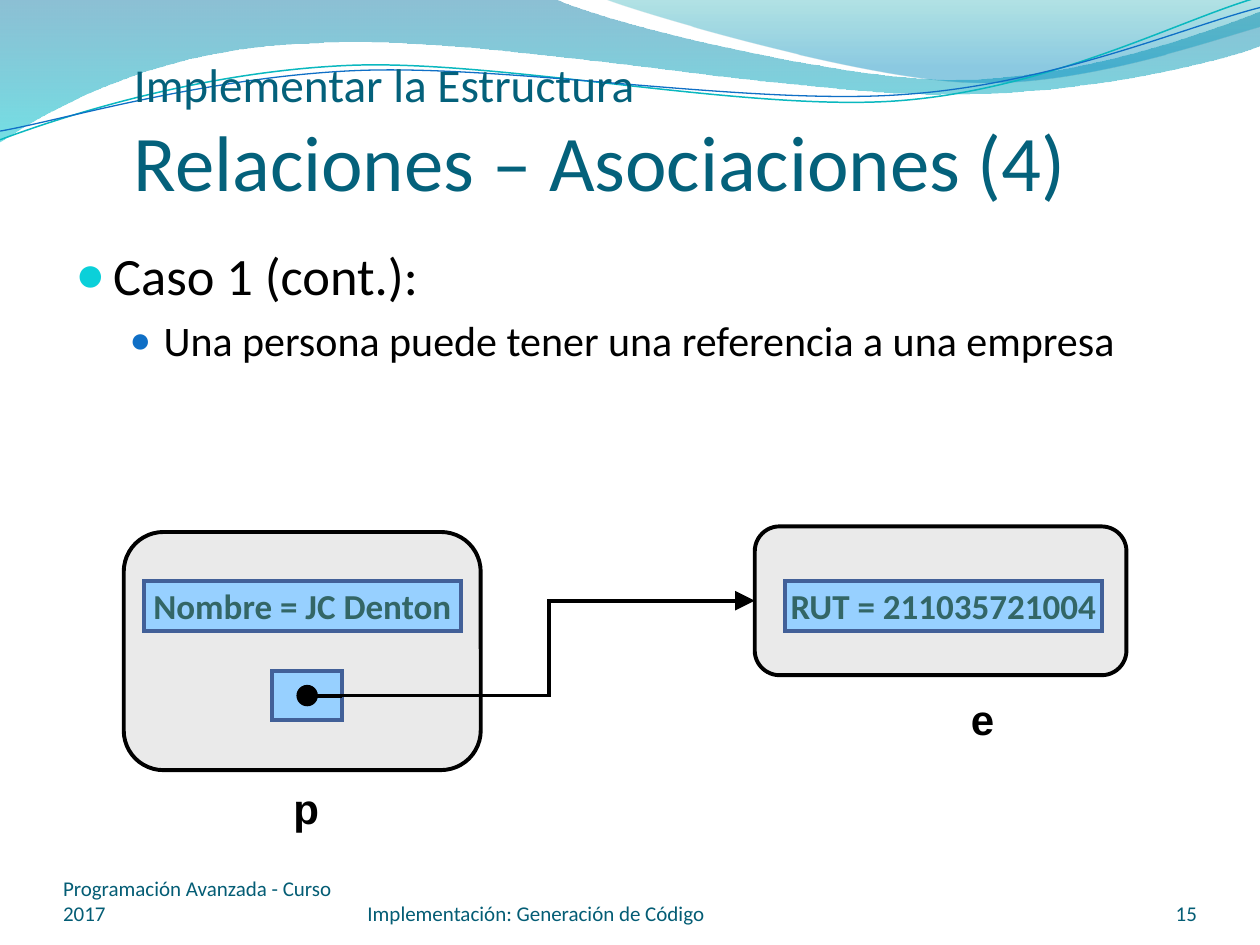
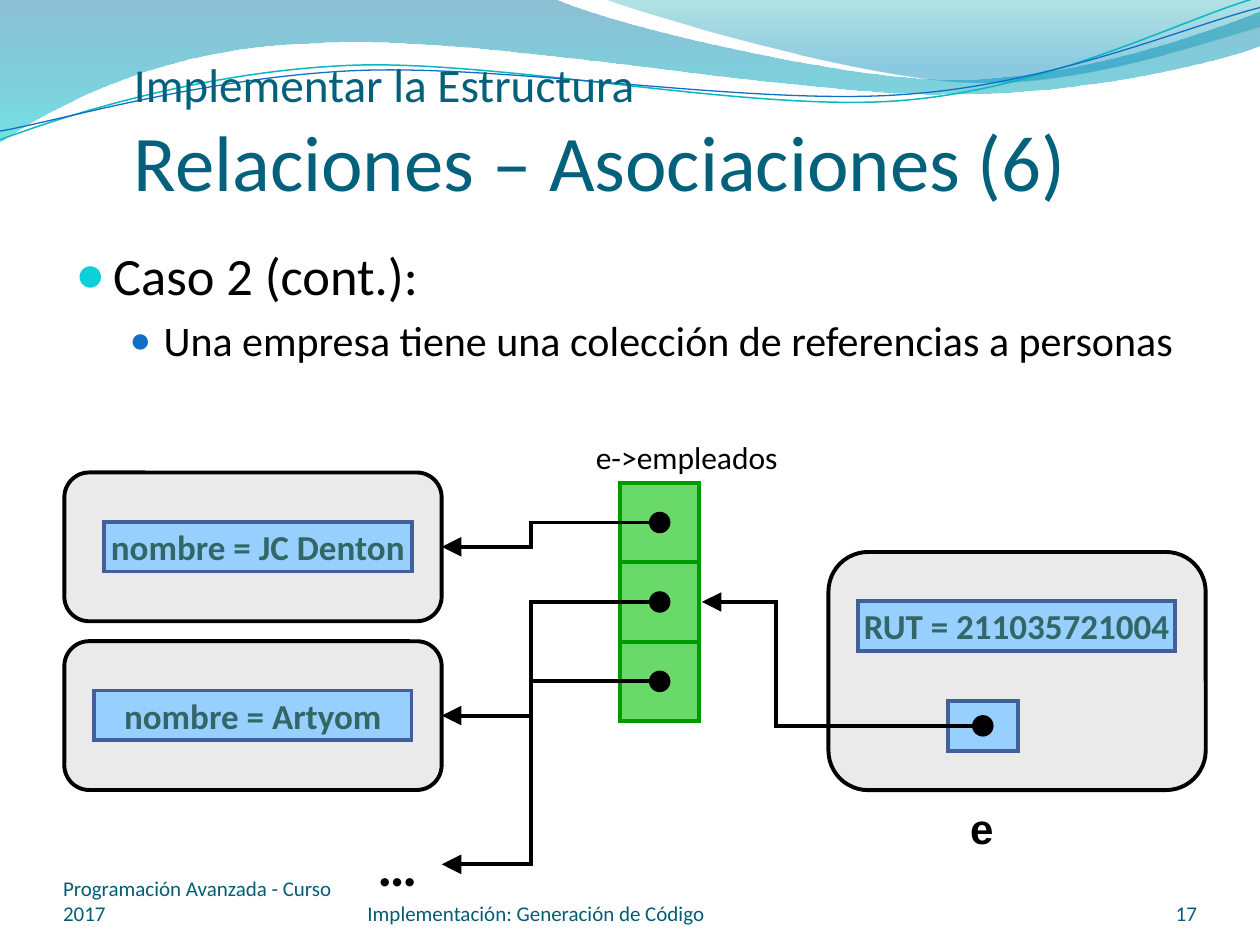
from dataclasses import dataclass

from lxml import etree
from pptx import Presentation
from pptx.dml.color import RGBColor
from pptx.enum.shapes import MSO_CONNECTOR, MSO_SHAPE
from pptx.enum.text import MSO_ANCHOR, MSO_AUTO_SIZE, PP_ALIGN
from pptx.oxml.ns import qn
from pptx.util import Pt

RECT, ROUNDED, OVAL = MSO_SHAPE.RECTANGLE, MSO_SHAPE.ROUNDED_RECTANGLE, MSO_SHAPE.OVAL
STRAIGHT, ELBOW = MSO_CONNECTOR.STRAIGHT, MSO_CONNECTOR.ELBOW
TOP, MIDDLE, BOTTOM = MSO_ANCHOR.TOP, MSO_ANCHOR.MIDDLE, MSO_ANCHOR.BOTTOM
LEFT, CENTER, RIGHT = PP_ALIGN.LEFT, PP_ALIGN.CENTER, PP_ALIGN.RIGHT
FIT, FIXED = MSO_AUTO_SIZE.SHAPE_TO_FIT_TEXT, MSO_AUTO_SIZE.NONE


@dataclass(frozen=True)
class Theme:
    font: str = "Calibri"
    label_font: str = "Arial"
    black: str = "000000"
    white: str = "FFFFFF"
    title: str = "04617B"
    footer: str = "045D75"
    object_fill: str = "EAEAEA"
    field_fill: str = "97D0FF"
    field_line: str = "426098"
    field_text: str = "336666"
    cell_fill: str = "69D969"
    cell_line: str = "009900"
    overline_size: float = 27
    title_size: float = 45
    label_size: float = 24
    field_size: float = 20
    caption_size: float = 18
    ellipsis_size: float = 32
    footer_size: float = 12
    stroke: float = 2.25
    thin: float = 0.75


THEME = Theme()

# Bullet levels: text size, left margin, hanging indent, bullet colour, bullet percent
LEVELS = [(30, 21.6, 21.6, "0BD0D9", 95), (24, 50.4, 19.4, "0F6FC6", 85)]

# Header waves: start, then straight (x, y) or cubic (x1, y1, x2, y2, x, y) steps
LEFT_WAVE = ((0, 0), [
    (316.8, -0.7), (342.7, 12.2, 478.1, 45.4, 545.8, 45.4),
    (614.2, 45.4, 689.8, 18.7, 720, 6.5), (720.7, 25.9),
    (707.8, 31.7, 626.4, 54.7, 537.1, 54), (447.8, 54, 275, 20.2, 185, 24.5),
    (92.9, 25.9, 33.1, 59.8, -0.7, 81.4)])
RIGHT_WAVE = ((344.9, -0.7), [
    (366.5, 7.9, 491, 44.6, 553.7, 46.8), (616.3, 49.7, 691.9, 23, 720, 15.1),
    (720, 0)])
TEAL_THREAD = ((0, 79.9), [
    (34.6, 67, 113.8, 41, 199.4, 37.4), (284.4, 33.8, 427, 64.1, 513.4, 57.6),
    (599.8, 51.1, 675.4, 10.8, 718.6, -1.4)])
BLUE_THREAD = ((0, 74.9), [
    (33.8, 69.1, 118.1, 43.9, 203.8, 40.3), (290.2, 36.7, 429.8, 60.5, 516.2, 54),
    (601.9, 48.2, 677.5, 15.1, 720, 4.3)])
# Gradient stops: position, colour, opacity percent
WAVES = [(LEFT_WAVE, [(0, "0074A1", 45), (1, "00C6CF", 55)]),
         (RIGHT_WAVE, [(0, "00A1A9", 30), (0.8, "008BBF", 45)])]
THREADS = [(TEAL_THREAD, "0AB8BF", 0.85), (BLUE_THREAD, "0F6FC6", 0.75)]

FIELD_WIDTH, FIELD_HEIGHT, POINTER_WIDTH = 181.4, 28.4, 40.3
OBJECT_HEIGHT, TALL_OBJECT_HEIGHT = 85, 136.1
DOT = 11.5


def assign(target, values):
    for name, value in values.items():
        setattr(target, name, value)


def rgb(code):
    return RGBColor.from_string(code)


def add_xml(parent, tag, **attributes):
    return etree.SubElement(parent, qn(tag), attributes)


def draw_line(line, color, width):
    line.color.rgb = rgb(color)
    line.width = Pt(width)
    add_xml(line._get_or_add_ln(), "a:miter", lim="800000")


# ---- Text ----
def write(paragraph, text, size, color, font=THEME.font, bold=False):
    run = paragraph.add_run()
    run.text = text
    assign(run.font, dict(size=Pt(size), name=font, bold=bold))
    run.font.color.rgb = rgb(color)


def set_frame(frame, insets=(7.2, 3.6, 7.2, 3.6), anchor=TOP, wrap=True, fit=FIXED):
    left, top, right, bottom = map(Pt, insets)
    assign(frame, dict(margin_left=left, margin_top=top, margin_right=right,
                       margin_bottom=bottom, vertical_anchor=anchor,
                       auto_size=fit, word_wrap=wrap))


def add_text_frame(slide, box, **layout):
    frame = slide.shapes.add_textbox(*map(Pt, box)).text_frame
    set_frame(frame, **layout)
    return frame


def add_label(slide, text, box, size=THEME.label_size, font=THEME.label_font, bold=True):
    frame = add_text_frame(slide, box, wrap=False, fit=FIT)
    write(frame.paragraphs[0], text, size, THEME.black, font, bold)


def add_title(slide, topic):
    frame = add_text_frame(slide, (76.5, 20.2, 600, 98),
                           insets=(0, 3.6, 0, 0), anchor=BOTTOM)
    heading = frame.paragraphs[0]
    write(heading, "Implementar la Estructura", THEME.overline_size, THEME.title)
    heading.add_line_break()
    write(heading, topic, THEME.title_size, THEME.title)


def add_bullets(slide, texts, height):
    frame = add_text_frame(slide, (36, 135.4, 675.4, height))
    for level, text in enumerate(texts):
        size, margin, hang, color, percent = LEVELS[level]
        item = frame.add_paragraph() if level else frame.paragraphs[0]
        assign(item, dict(level=level, space_before=Pt(size * 0.2)))
        write(item, text, size, THEME.black)
        layout = item._p.get_or_add_pPr()
        layout.set("marL", str(Pt(margin)))
        layout.set("indent", str(-Pt(hang)))
        add_xml(add_xml(layout, "a:buClr"), "a:srgbClr", val=color)
        add_xml(layout, "a:buSzPct", val=str(percent * 1000))
        add_xml(layout, "a:buFont", typeface=THEME.label_font)
        add_xml(layout, "a:buChar", char="●")


def add_footers(slide, number):
    for text, left, width, align in [
            ("Programación Avanzada - Curso 2017", 36, 168, LEFT),
            ("Implementación: Generación de Código", 210, 264, LEFT),
            (str(number), 624, 60, RIGHT)]:
        frame = add_text_frame(slide, (left, 500.4, width, 28.8),
                               insets=(0, 0, 0, 0), anchor=BOTTOM)
        frame.paragraphs[0].alignment = align
        write(frame.paragraphs[0], text, THEME.footer_size, THEME.footer)


# ---- Header waves ----
def add_curve(slide, outline, close):
    start, steps = outline
    builder = slide.shapes.build_freeform(*map(Pt, start))
    builder.add_line_segments([tuple(map(Pt, step[-2:])) for step in steps], close=close)
    curve = builder.convert_to_shape()
    curve.shadow.inherit = False
    # Bend the cubic steps by giving them their control points
    segments = list(curve._element.iter(qn("a:lnTo")))
    for segment, step in zip(segments, steps):
        if len(step) == 6:
            segment.tag = qn("a:cubicBezTo")
            end = segment[0]
            for x, y in (step[:2], step[2:4]):
                control = add_xml(segment, "a:pt", x=str(Pt(x) - curve.left),
                                  y=str(Pt(y) - curve.top))
                end.addprevious(control)
    return curve


def add_header(slide):
    for outline, stops in WAVES:
        wave = add_curve(slide, outline, True)
        wave.line.fill.background()
        wave.fill.gradient()
        wave.fill.gradient_angle = 270
        for stop, (position, color, _) in zip(wave.fill.gradient_stops, stops):
            stop.position = position
            stop.color.rgb = rgb(color)
        for shade, (_, _, opacity) in zip(wave._element.iter(qn("a:srgbClr")), stops):
            add_xml(shade, "a:alpha", val=str(opacity * 1000))
    for outline, color, width in THREADS:
        thread = add_curve(slide, outline, False)
        thread.fill.background()
        draw_line(thread.line, color, width)


# ---- Object diagram ----
def add_block(slide, kind, box, fill, line, width=THEME.stroke):
    block = slide.shapes.add_shape(kind, *map(Pt, box))
    block.shadow.inherit = False
    block.fill.solid()
    block.fill.fore_color.rgb = rgb(fill)
    draw_line(block.line, line, width)
    return block


def add_block_text(block, text, size, color):
    set_frame(block.text_frame, anchor=MIDDLE, wrap=False)
    caption = block.text_frame.paragraphs[0]
    caption.alignment = CENTER
    write(caption, text, size, color, bold=True)


def add_object(slide, *box):
    add_block(slide, ROUNDED, box, THEME.object_fill, THEME.black)


def add_field(slide, text, left, top, width=FIELD_WIDTH):
    field = add_block(slide, RECT, (left, top, width, FIELD_HEIGHT),
                      THEME.field_fill, THEME.field_line)
    add_block_text(field, text, THEME.field_size, THEME.field_text)


def add_link(slide, kind, begin, end, arrow=False, bend=0.5):
    link = slide.shapes.add_connector(kind, *map(Pt, (*begin, *end)))
    draw_line(link.line, THEME.black, THEME.stroke)
    if arrow:
        add_xml(link.line._get_or_add_ln(), "a:tailEnd", type="triangle", w="lg", len="lg")
    add_xml(link._element.spPr, "a:effectLst")
    if bend != 0.5:
        guides = link._element.spPr.find(qn("a:prstGeom")).find(qn("a:avLst"))
        add_xml(guides, "a:gd", name="adj1", fmla=f"val {round(bend * 100000)}")


def add_reference(slide, box, target, to_left=True, bend=0.5,
                  fill=THEME.field_fill, line=THEME.field_line):
    """Cell with a central dot, and an elbow arrow from its side to the target."""
    left, top, width, height = box
    x, y = left + width / 2, top + height / 2
    edge = (left if to_left else left + width, y)
    add_block(slide, RECT, box, fill, line)
    add_link(slide, ELBOW, edge, target, arrow=True, bend=bend)
    add_block(slide, OVAL, (x - DOT / 2, y - DOT / 2, DOT, DOT),
              THEME.black, THEME.black, THEME.thin)
    add_link(slide, STRAIGHT, (x + DOT / 2, y), edge)


# ---- Slides ----
def start_slide(deck, topic, bullets, body_height, number):
    slide = deck.slides.add_slide(deck.slide_layouts[6])
    add_header(slide)
    add_title(slide, topic)
    add_bullets(slide, bullets, body_height)
    add_footers(slide, number)
    return slide


def build_single_reference(deck):
    slide = start_slide(deck, "Relaciones – Asociaciones (4)", [
        "Caso 1 (cont.):", "Una persona puede tener una referencia a una empresa"], 373, 15)
    company_left, company_top = 431.3, 300.8
    add_object(slide, 70.7, 304, 204, TALL_OBJECT_HEIGHT)
    add_field(slide, "Nombre = JC Denton", 82.1, 332)
    add_label(slide, "p", (160.6, 443.5, 28.8, 36))
    add_object(slide, company_left, company_top, 212.4, OBJECT_HEIGHT)
    add_field(slide, "RUT = 211035721004", 448.4, 332)
    add_label(slide, "e", (547.7, 392.7, 28.1, 36))
    add_reference(slide, (155.4, 383.3, POINTER_WIDTH, FIELD_HEIGHT),
                  (company_left, company_top + OBJECT_HEIGHT / 2), to_left=False)


def build_collection(deck):
    slide = start_slide(deck, "Relaciones – Asociaciones (6)", [
        "Caso 2 (cont.):", "Una empresa tiene una colección de referencias a personas"],
        117.4, 17)
    object_width, person_left, person_top, person_pitch = 215.6, 36.8, 270, 96.4
    cell_left, cell_top, cell = 354.3, 275.9, 45.4
    arrow_x = person_left + object_width

    # Company and its pointer to the collection
    add_object(slide, 473.4, 315.4, object_width, TALL_OBJECT_HEIGHT)
    add_field(slide, "RUT = 211035721004", 490.3, 343.5)
    add_label(slide, "e", (547.2, 455, 28.1, 36))
    add_reference(slide, (541.5, 400.6, POINTER_WIDTH, FIELD_HEIGHT),
                  (cell_left + cell + 1.4, cell_top + cell * 1.5), bend=0.7)

    # People
    targets = []
    for row, (name, left, width) in enumerate([
            ("nombre = JC Denton", 59.4, 175.9), ("nombre = Artyom", 53.8, FIELD_WIDTH)]):
        top = person_top + row * person_pitch
        add_object(slide, person_left, top, object_width, OBJECT_HEIGHT)
        add_field(slide, name, left, top + 28.2, width)
        targets.append(top + OBJECT_HEIGHT / 2)
    targets.append(493.9)

    # Collection of references
    for row, target in enumerate(targets):
        add_reference(slide, (cell_left, cell_top + row * cell, cell, cell),
                      (arrow_x, target), fill=THEME.cell_fill, line=THEME.cell_line)
    more = add_block(slide, RECT, (201.4, 479.5, 51.1, FIELD_HEIGHT),
                     THEME.white, THEME.white, THEME.thin)
    add_block_text(more, "…", THEME.ellipsis_size, THEME.black)
    add_label(slide, "e->empleados", (333.4, 247, 119.5, 28.8),
              THEME.caption_size, THEME.font, False)


def main():
    deck = Presentation()
    assign(deck, dict(slide_width=Pt(720), slide_height=Pt(540)))
    build_single_reference(deck)
    build_collection(deck)
    deck.save("out.pptx")


main()
